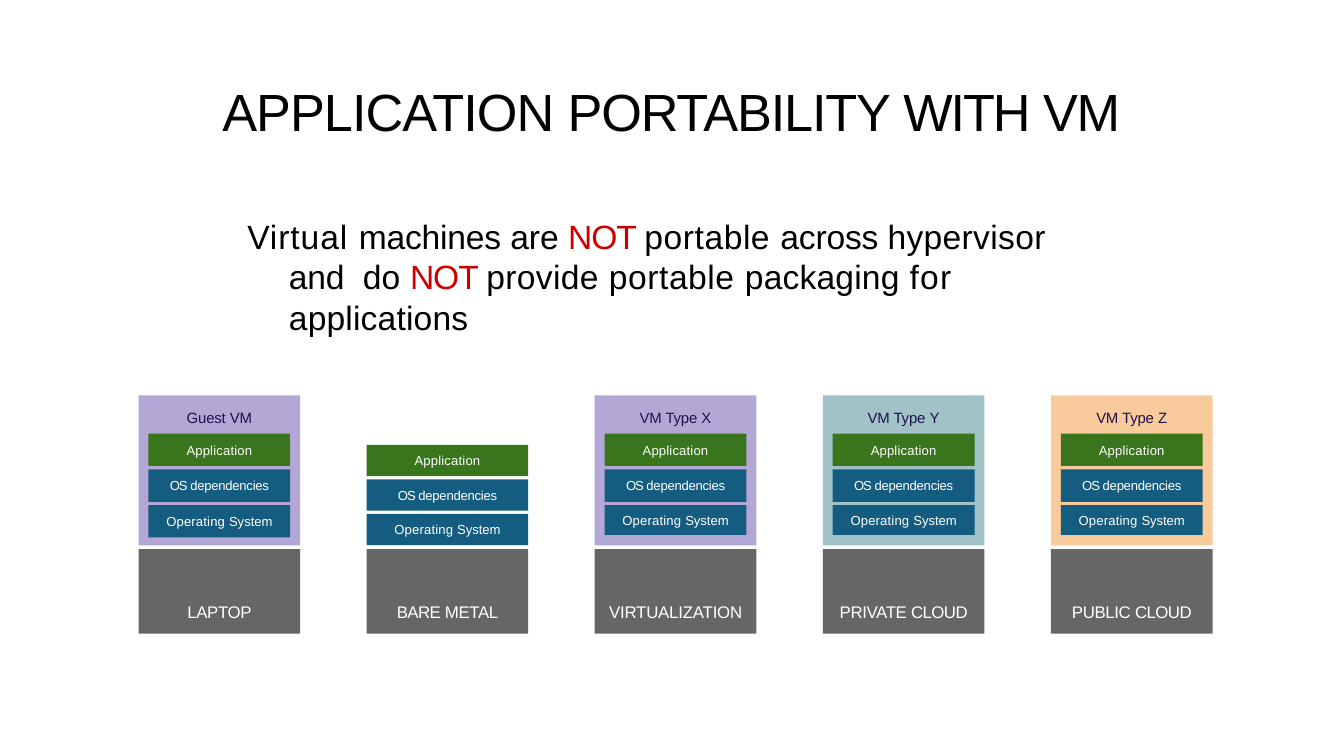
import dataclasses
import typing

import pptx
import pptx.dml.color
import pptx.enum.shapes
import pptx.enum.text
import pptx.util

Pt = pptx.util.Pt
ALIGN = pptx.enum.text.PP_ALIGN
ANCHOR = pptx.enum.text.MSO_ANCHOR

COLORS = {
    "black": "000000", "white": "FFFFFF", "red": "CC0000", "ink": "1F114D",
    "gray": "666666", "green": "38751C", "blue": "155D80",
    "violet": "B3A7D6", "teal": "A1C3C8", "peach": "F9CA9C",
}


class Span(typing.NamedTuple):
    text: str
    track: float = 0
    color: str = ""


class Area(typing.NamedTuple):
    left: float
    top: float
    width: float
    height: float


@dataclasses.dataclass
class Style:
    size: float
    color: str
    inset: float = 0
    align: typing.Any = ALIGN.CENTER
    anchor: typing.Any = ANCHOR.MIDDLE
    wrap: bool = True
    lines: float = 1.0


@dataclasses.dataclass
class Stack:
    base: list[Span]
    fill: str = ""
    head: list[Span] = dataclasses.field(default_factory=list)
    last: float = 16


TIERS = [
    ("green", [Span("Application", 0.1)]),
    ("blue", [Span("OS ", -0.5), Span("dependencies", -0.1)]),
    ("blue", [Span("Operating ", 0.1), Span("System")]),
]

STACKS = [
    Stack([Span("LAPTOP", -0.2)], "violet",
          [Span("Guest ", -0.1), Span("VM", -0.2)], 17.4),
    Stack([Span("BARE ", -0.3), Span("METAL", -0.2)]),
    Stack([Span("VIRTUALIZATION", -0.1)], "violet",
          [Span("VM ", -0.2), Span("Type ", -0.1), Span("X", -0.5)]),
    Stack([Span("PRIVATE ", -0.2), Span("CLOUD", -0.3)], "teal",
          [Span("VM ", -0.2), Span("Type ", -0.1), Span("Y", -0.2)]),
    Stack([Span("PUBLIC ", -0.2), Span("CLOUD", -0.3)], "peach",
          [Span("VM ", -0.2), Span("Type ", -0.1), Span("Z", 0.3)]),
]

TITLE = [Span("APPLICATION ", -0.5), Span("PORTABILITY ", -0.6),
         Span("WITH ", -1.1), Span("VM", -0.7)]

BODY = [
    Span("Virtual ", 0.5), Span("machines ", -0.1), Span("are "),
    Span("NOT ", -0.6, "red"), Span("portable ", 0.3), Span("across ", -0.1),
    Span("hypervisor ", 0.2), Span("and  ", -0.1), Span("do ", 0.1),
    Span("NOT ", -0.6, "red"), Span("provide ", 0.2), Span("portable ", 0.3),
    Span("packaging ", 0.1), Span("for ", 0.7), Span("applications", 0.1),
]

HEAD = Style(8, "ink", inset=7, anchor=ANCHOR.TOP)
TIER = Style(7, "white")
BASE = Style(9, "white")
TOP = Style(28, "black", wrap=False)
TEXT = Style(18, "black", inset=1, align=ALIGN.LEFT, anchor=ANCHOR.TOP, lines=1.01)

LEFT, STEP, WIDE = 74.2, 122.2, 86.6


def apply(item: typing.Any, values: dict[str, typing.Any]) -> None:
    for name, value in values.items():
        setattr(item, name, value)


def shade(name: str) -> pptx.dml.color.RGBColor:
    return pptx.dml.color.RGBColor.from_string(COLORS[name])


def write(shape: typing.Any, spans: list[Span], style: Style) -> typing.Any:
    frame = shape.text_frame
    apply(frame, {
        "margin_left": 0, "margin_right": 0, "margin_bottom": 0,
        "margin_top": Pt(style.inset), "word_wrap": style.wrap,
        "vertical_anchor": style.anchor,
    })
    para = frame.paragraphs[0]
    apply(para, {"alignment": style.align, "line_spacing": style.lines})
    for span in spans:
        run = para.add_run()
        run.text = span.text
        apply(run.font, {"name": "Arial", "size": Pt(style.size)})
        run.font.color.rgb = shade(span.color or style.color)
        run.font._element.set("spc", str(round(span.track * 100)))
    return para


def block(slide: typing.Any, area: Area, fill: str) -> typing.Any:
    kind = pptx.enum.shapes.MSO_SHAPE.RECTANGLE
    shape = slide.shapes.add_shape(kind, *map(Pt, area))
    shape.shadow.inherit = False
    shape.fill.solid()
    shape.fill.fore_color.rgb = shade(fill)
    shape.line.fill.background()
    return shape


def label(slide: typing.Any, area: Area, spans: list[Span], style: Style) -> typing.Any:
    return write(slide.shapes.add_textbox(*map(Pt, area)), spans, style)


def draw(slide: typing.Any, stack: Stack, left: float) -> None:
    block(slide, Area(left, 294.2, WIDE, 45.3), "gray")
    label(slide, Area(left, 321.1, WIDE, 13), stack.base, BASE)
    if stack.head:
        write(block(slide, Area(left, 211.9, WIDE, 80.4), stack.fill), stack.head, HEAD)
        pad, top, step, tall, last = 5.3, 232.3, 19.15, 17.4, stack.last
    else:
        pad, top, step, tall, last = 0, 238.3, 18.5, 16.8, 16.8
    for row, (fill, spans) in enumerate(TIERS):
        high = last if row == len(TIERS) - 1 else tall
        area = Area(left + pad, top + row * step, WIDE - 2 * pad, high)
        write(block(slide, area, fill), spans, TIER)


def main() -> None:
    deck = pptx.Presentation()
    apply(deck, {"slide_width": Pt(720), "slide_height": Pt(405)})
    slide = deck.slides.add_slide(deck.slide_layouts[6])
    label(slide, Area(116.6, 41.8, 486, 35.3), TITLE, TOP)
    para = label(slide, Area(131, 114.3, 460.8, 65), BODY, TEXT)
    props = para._p.get_or_add_pPr()
    for name, value in {"marL": 23.8, "indent": -22.3}.items():
        props.set(name, str(int(Pt(value))))
    for col, stack in enumerate(STACKS):
        draw(slide, stack, LEFT + col * STEP)
    deck.save("out.pptx")


if __name__ == "__main__":
    main()
